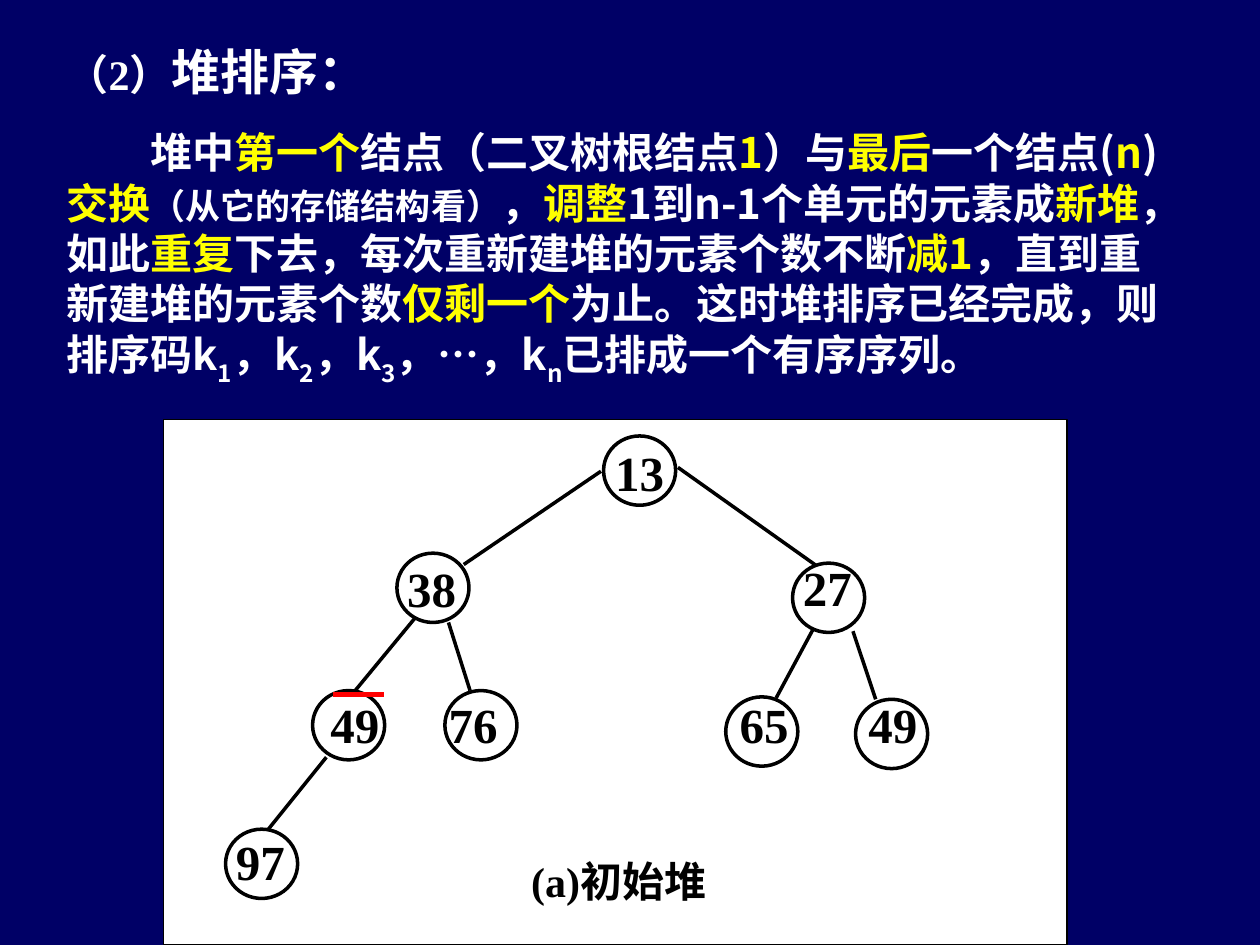
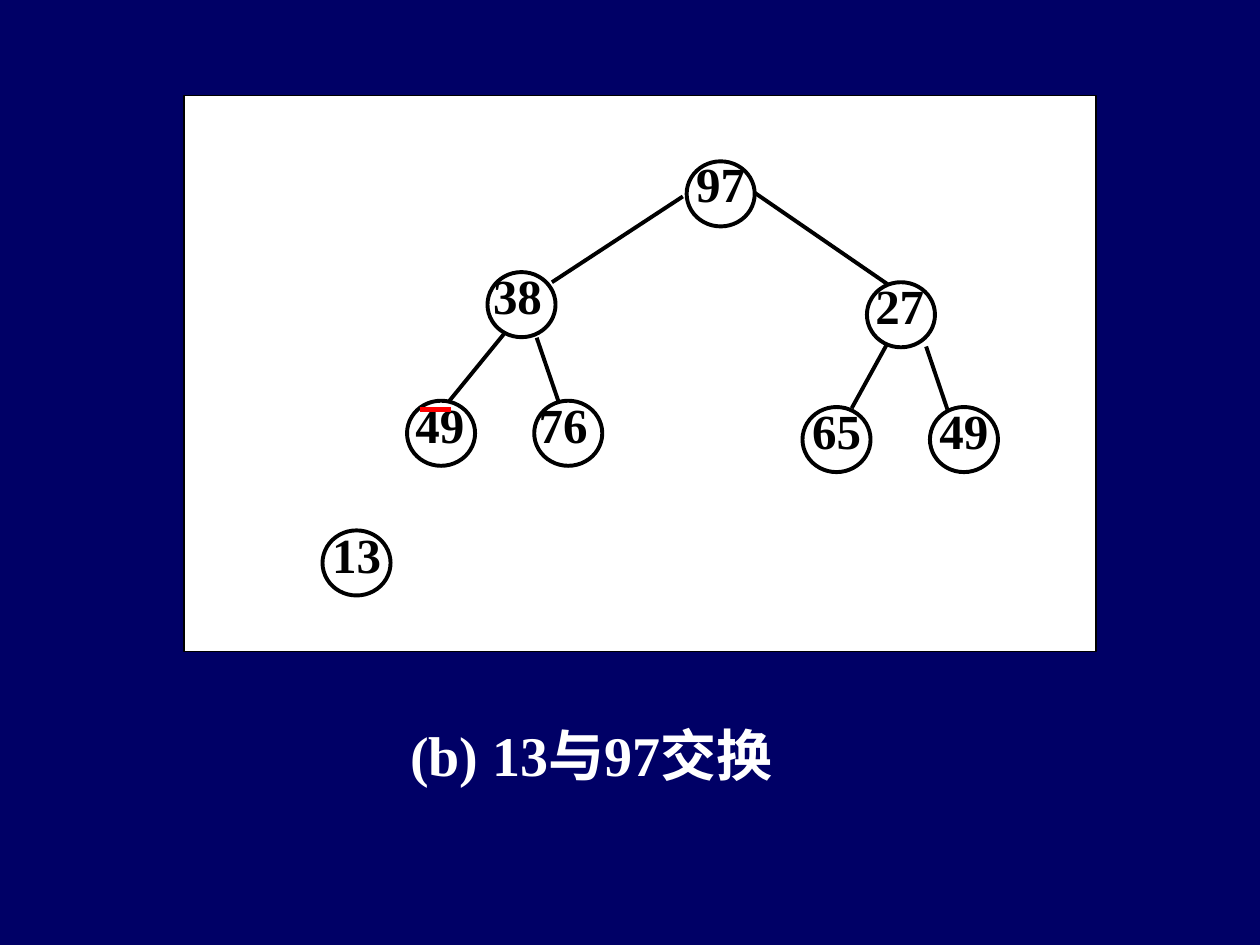
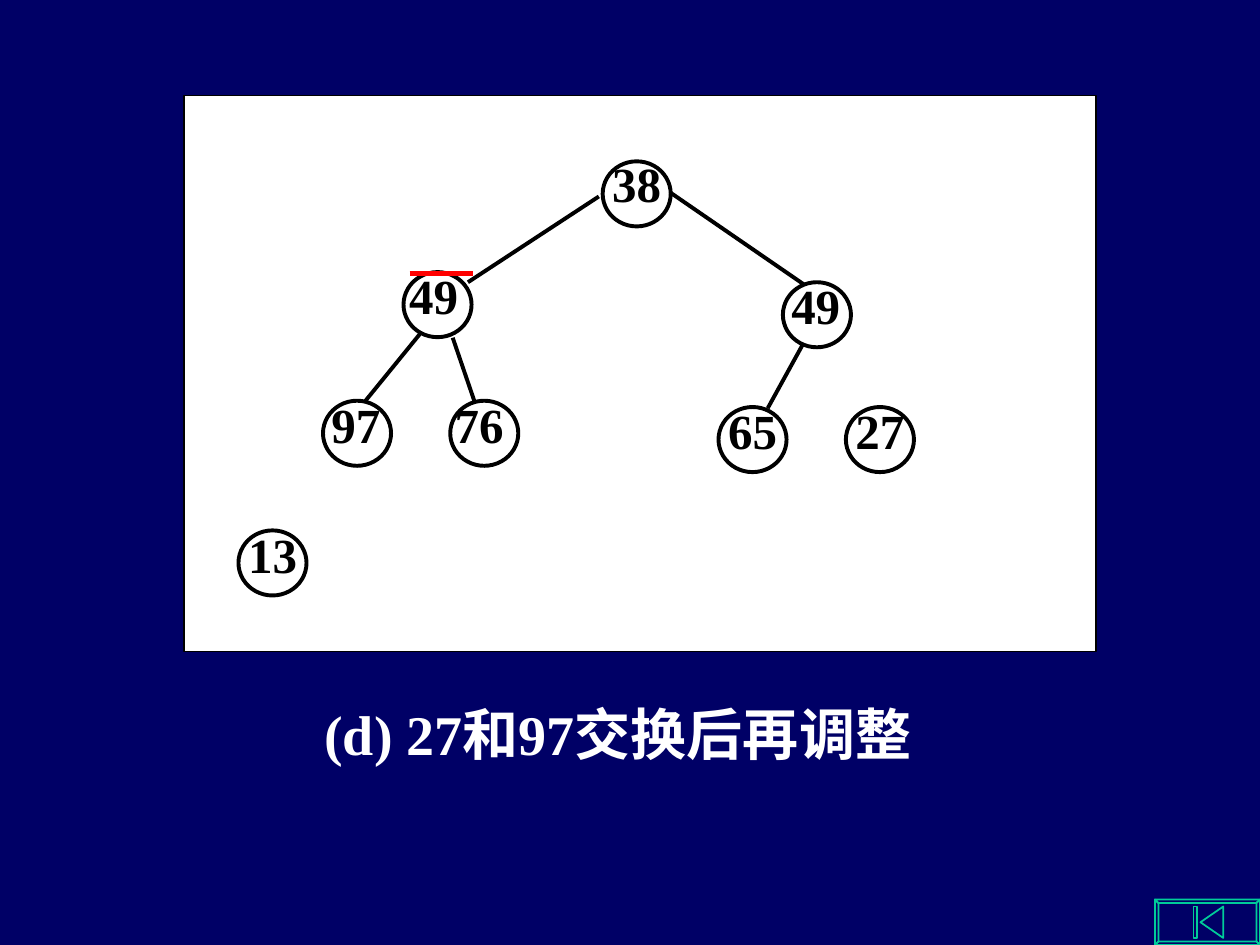
from collections import namedtuple
from lxml import etree
from pptx import Presentation
from pptx import util as u
from pptx.dml.color import RGBColor
from pptx.enum import shapes, text
from pptx.oxml import ns

NAVY = RGBColor(0x00, 0x00, 0x66)
WHITE = RGBColor(0xFF, 0xFF, 0xFF)
BLACK = RGBColor(0x00, 0x00, 0x00)
YELLOW = RGBColor(0xFF, 0xFF, 0x00)
RED = RGBColor(0xFF, 0x00, 0x00)
GREEN = RGBColor(0x00, 0xCC, 0x99)
SERIF, CJK = "Times New Roman", "Noto Sans CJK SC"

NODE = {"size": 28, "name": SERIF, "color": BLACK}
LABEL = {"size": 24, "name": SERIF, "color": BLACK}
CAPTION = {"size": 32, "name": SERIF, "color": WHITE}
TITLE = {"size": 24, "name": SERIF, "color": WHITE}
BODY = {"size": 24, "name": CJK, "color": WHITE}
KEY = {**BODY, "color": YELLOW}
SMALL = {**BODY, "size": 20}
SUB = {**BODY, "baseline": "-30000"}

HEADING = [("（2）", TITLE), ("堆排序：", {**TITLE, "size": 28})]
EXPLANATION = [
    ("堆中", BODY), ("第一个", KEY), ("结点（二叉树根结点", BODY), ("1", KEY),
    ("）与", BODY), ("最后", KEY), ("一个结点(", BODY), ("n", KEY), (")", BODY),
    ("交换", KEY), ("（从它的存储结构看）", SMALL), ("，", BODY), ("调整", KEY),
    ("1到n-1个单元的元素成", BODY), ("新堆", KEY), ("，如此", BODY), ("重复", KEY),
    ("下去，每次重新建堆的元素个数不断", BODY), ("减1", KEY),
    ("，直到重新建堆的元素个数", BODY), ("仅剩一个", KEY),
    ("为止。这时堆排序已经完成，则排序码k", BODY), ("1", SUB), ("，k", BODY),
    ("2", SUB), ("，k", BODY), ("3", SUB), ("，…，k", BODY), ("n", SUB),
    ("已排成一个有序序列。", BODY),
]

# Nodes hold circle left, top and text offset; edges are keyed by child position.
Tree = namedtuple("Tree", "width height weight nodes edges")
FIRST_TREE = Tree(
    41.2, 39.6, 2,
    {1: (344.9, 249.1, 0, 0), 2: (226.8, 316.1, -0.7, -0.7),
     3: (452.9, 321.8, -0.7, -6.5), 4: (178.6, 394.6, 3.6, -1.4),
     5: (254.2, 394.6, -4.4, -1.4), 6: (414.7, 398.2, 1.4, -5),
     7: (488.9, 399.6, 0.7, -6.5), 8: (128.9, 473.8, -0.7, -2.2)},
    {2: (343.4, 269.3, 265, 322.6), 3: (387.4, 267.1, 466.6, 323.3),
     4: (236.9, 353.5, 203, 394.6), 5: (256.3, 355.7, 268.6, 394.6),
     6: (464.4, 360, 443.5, 398.9), 7: (487.4, 360.7, 500.4, 399.6),
     8: (186.5, 432.7, 153.4, 473.8)})
SWAP_TREE = Tree(
    38.9, 37.2, 2.25,
    {1: (392.4, 92.2, 0, -7.9), 2: (278.6, 155.5, -2.3, -7.2),
     3: (495.4, 161.3, -0.7, -7.2), 4: (232.6, 229, -0.7, -7.2),
     5: (305.3, 229, -2.9, -7.2), 6: (458.6, 232.6, 0, -7.2),
     7: (531.4, 232.6, 0, -7.2), 8: (184.3, 303.1, 0, -7.2)},
    {2: (390.2, 112.3, 315.4, 161.3), 3: (431.3, 110.2, 507.6, 162.7),
     4: (288, 190.8, 256.3, 229.7), 5: (306.7, 193, 319, 229),
     6: (506.9, 196.6, 486.7, 233.3), 7: (529.2, 198, 541.4, 234)})


def pts(*values):
    """Turn numbers into point lengths."""
    return [u.Pt(v) for v in values]


def add_slide(prs):
    """Add a blank slide with the navy background."""
    s = prs.slides.add_slide(prs.slide_layouts[6])
    s.background.fill.solid()
    s.background.fill.fore_color.rgb = NAVY
    return s


def add_runs(p, runs):
    """Fill a paragraph with formatted runs."""
    for words, fmt in runs:
        r = p.add_run()
        r.text = words
        values = {"size": u.Pt(fmt["size"]), "name": fmt["name"], "bold": True}
        for key, value in values.items():
            setattr(r.font, key, value)
        r.font.color.rgb = fmt["color"]
        rpr = r.font._element
        etree.SubElement(rpr, ns.qn("a:ea")).set("typeface", CJK)
        if "baseline" in fmt:
            rpr.set("baseline", fmt["baseline"])


def add_text(s, box, runs, align=text.PP_ALIGN.CENTER):
    """Add a wrapped text box with one paragraph and return its frame."""
    tf = s.shapes.add_textbox(*pts(*box)).text_frame
    tf.word_wrap = True
    tf.paragraphs[0].alignment = align
    add_runs(tf.paragraphs[0], runs)
    return tf


def style(sp, color, weight, fill=None):
    """Set the outline and fill of a shape and drop its shadow."""
    sp.shadow.inherit = False
    sp.line.color.rgb = color
    sp.line.width = u.Pt(weight)
    if fill is None:
        sp.fill.background()
    else:
        sp.fill.solid()
        sp.fill.fore_color.rgb = fill


def add_panel(s, *box):
    """Add the white panel behind a tree."""
    sp = s.shapes.add_shape(shapes.MSO_SHAPE.RECTANGLE, *pts(*box))
    style(sp, BLACK, 0.75, WHITE)


def add_line(s, ends, color=BLACK, weight=2.0):
    """Add a straight line without shadow."""
    sp = s.shapes.add_connector(shapes.MSO_CONNECTOR.STRAIGHT, *pts(*ends))
    sp.line.color.rgb = color
    sp.line.width = u.Pt(weight)
    etree.SubElement(sp._element.spPr, ns.qn("a:effectLst"))


def add_node(s, tree, value, x, y, dx, dy):
    """Add a circle with its number in a box centred on it."""
    width, height = 86.4, 64
    left = x + (tree.width - width) / 2 + dx
    add_text(s, (left, y + dy, width, height), [(str(value), NODE)])
    sp = s.shapes.add_shape(shapes.MSO_SHAPE.OVAL, *pts(x, y, tree.width, tree.height))
    style(sp, BLACK, tree.weight)


def add_tree(s, tree, values, mark, shift=0, cut=()):
    """Draw a heap in level order, with a red bar over the marked 49."""
    for child, (x1, y1, x2, y2) in tree.edges.items():
        if child not in cut:
            add_line(s, (x1 + shift, y1, x2 + shift, y2), weight=tree.weight)
    for i, value in enumerate(values, 1):
        x, y, dx, dy = tree.nodes[i]
        add_node(s, tree, value, x + shift, y, dx, dy)
    x1, x2, y = mark
    add_line(s, (x1, y, x2, y), RED, 3)


def add_back_button(s):
    """Outline the bevelled button with its back-to-start sign."""
    x1, y1, x2, y2 = 660.2, 514.1, 720, 540
    a1, b1, a2, b2 = x1 + 1.8, y1 + 1.6, x2 - 1.6, y2 - 1.6
    outer = [(x1, y1), (x2, y1), (x2, y2), (x1, y2)]
    inner = [(a1, b1), (a2, b1), (a2, b2), (a1, b2)]
    sides = [[outer[i], outer[(i + 1) % 4], inner[(i + 1) % 4], inner[i]] for i in range(4)]
    arrow = [(686.2, 527), (699.1, 518.4), (699.1, 535.7)]
    bar = [(681.8, 518.4), (684, 518.4), (684, 535.7), (681.8, 535.7)]
    fb = s.shapes.build_freeform(x1, y1, scale=float(u.Pt(1)))
    fb.add_line_segments(outer[1:], close=True)
    for start, *rest in sides + [arrow, bar]:
        fb.move_to(*start)
        fb.add_line_segments(rest, close=True)
    style(fb.convert_to_shape(), GREEN, 1)


def add_caption(s, box, *words):
    """Add a caption that alternates serif and CJK runs."""
    fonts = (SERIF, CJK) * 2
    add_text(s, box, [(w, {**CAPTION, "name": f}) for w, f in zip(words, fonts)])


def initial_heap(prs):
    """Build the slide that explains heap sort on the first heap."""
    s = add_slide(prs)
    add_panel(s, 93.6, 239.8, 516.2, 300.2)
    tf = add_text(s, (31, 20.2, 648, 205.2), HEADING, text.PP_ALIGN.LEFT)
    tf.paragraphs[0].space_before = u.Pt(17.5)
    p = tf.add_paragraph()
    p.space_before = u.Pt(15)
    p._p.get_or_add_pPr().set("indent", str(u.Pt(48)))
    add_runs(p, EXPLANATION)
    add_text(s, (172.8, 485.3, 361.4, 36), [("(a)初始堆", LABEL)])
    add_tree(s, FIRST_TREE, (13, 38, 27, 49, 76, 65, 49, 97), (190.1, 219.6, 396.7))


def swapped_heap(prs, values, mark, caption, **options):
    """Build a slide with a swapped heap and its caption."""
    s = add_slide(prs)
    add_panel(s, 105.1, 54.7, 521.3, 317.5)
    add_tree(s, SWAP_TREE, values, mark, **options)
    add_caption(s, *caption)
    return s


def main():
    """Build and save the deck."""
    prs = Presentation()
    prs.slide_width, prs.slide_height = pts(720, 540)
    initial_heap(prs)
    swapped_heap(prs, (97, 38, 27, 49, 76, 65, 49, 13), (239.8, 257.8, 234),
                 ((86, 408.2, 504, 46), "(b) 13", "与", "97", "交换"))
    s = swapped_heap(prs, (38, 49, 49, 97, 76, 65, 27, 13), (234, 270, 156.2),
                     ((110, 396, 486, 46), "(d) 27", "和", "97", "交换后再调整"),
                     shift=-48, cut=(7,))
    add_back_button(s)
    prs.save("out.pptx")


if __name__ == "__main__":
    main()
